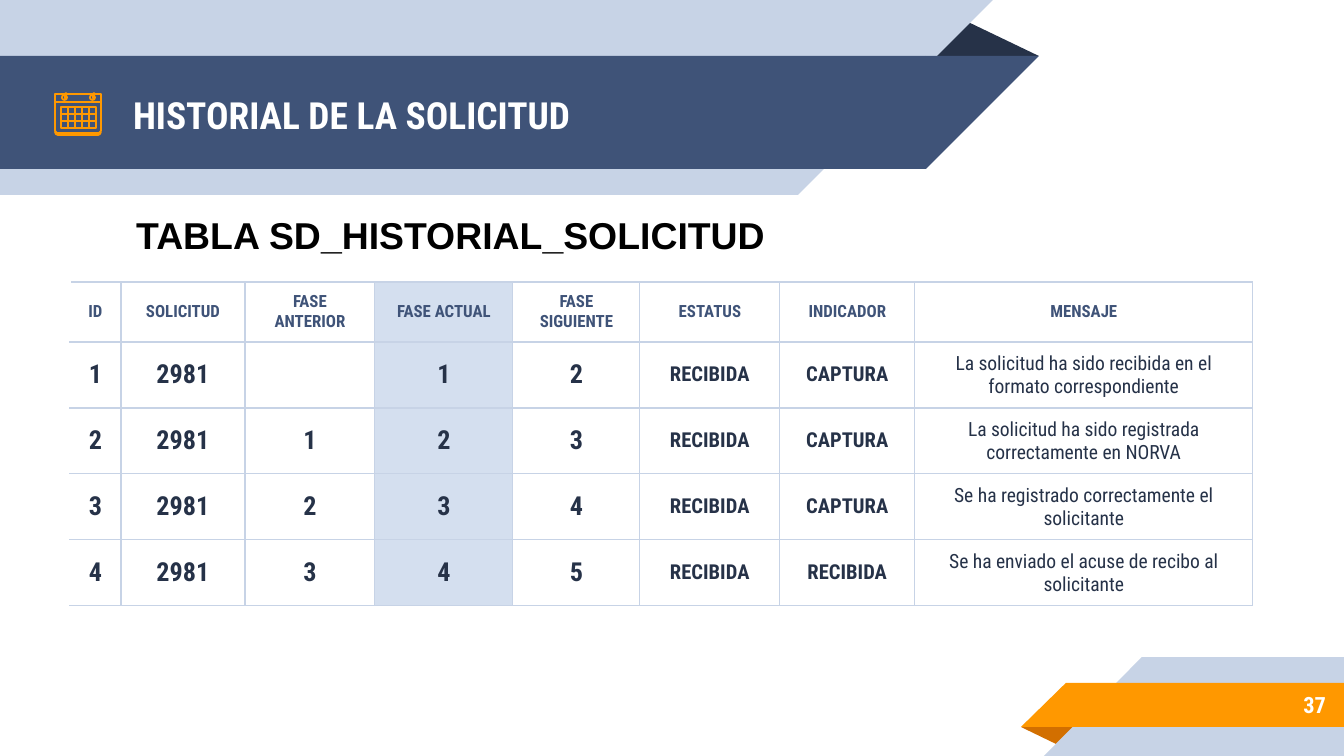
from lxml.etree import SubElement
from pptx import Presentation
from pptx.dml.color import RGBColor
from pptx.enum.shapes import MSO_CONNECTOR as Link, MSO_SHAPE as Kind
from pptx.enum.text import MSO_ANCHOR as Anchor, MSO_AUTO_SIZE as Auto, PP_ALIGN as Align
from pptx.oxml.ns import qn
from pptx.util import Emu, Pt

SCALE = 914400 / 134.4
WHITE = RGBColor(0xFF, 0xFF, 0xFF)
BLACK = RGBColor(0, 0, 0)
PALE = RGBColor(0xC7, 0xD3, 0xE6)
TINT = RGBColor(0xD4, 0xDF, 0xEF)
NAVY = RGBColor(0x3F, 0x53, 0x78)
DARK = RGBColor(0x26, 0x32, 0x48)
GOLD = RGBColor(0xFF, 0x98, 0x00)
RUST = RGBColor(0xD2, 0x6F, 0x00)
FACE = "Roboto Condensed"

HEADS = ["ID", "SOLICITUD", "FASE\nANTERIOR", "FASE ACTUAL",
         "FASE\nSIGUIENTE", "ESTATUS", "INDICADOR", "MENSAJE"]
ROWS = [
    ["1", "2981", "", "1", "2", "RECIBIDA", "CAPTURA",
     "La solicitud ha sido recibida en el formato correspondiente"],
    ["2", "2981", "1", "2", "3", "RECIBIDA", "CAPTURA",
     "La solicitud ha sido registrada correctamente en NORVA"],
    ["3", "2981", "2", "3", "4", "RECIBIDA", "CAPTURA",
     "Se ha registrado correctamente el solicitante"],
    ["4", "2981", "3", "4", "5", "RECIBIDA", "RECIBIDA",
     "Se ha enviado el acuse de recibo al solicitante"],
]
WIDTHS = [51, 124, 130, 138, 127, 140, 135, 338]
HEIGHTS = [60, 66, 66, 66, 66]
SIZES = [14] * 5 + [11] * 2 + [10.5]
NOW = 3


def px(num):
    return Emu(round(num * SCALE))


def apply(item, form):
    for key, value in form.items():
        setattr(item, key, value)


def write(frame, text, size, color, bold=True, face=FACE, align=Align.LEFT):
    frame.text = text
    for par in frame.paragraphs:
        par.alignment = align
        apply(par.font, {"size": Pt(size), "bold": bold, "name": face})
        par.font.color.rgb = color


def inset(item, side, top):
    apply(item, {"margin_left": px(side), "margin_right": px(side),
                 "margin_top": px(top), "margin_bottom": px(top)})


def block(shapes, kind, spot, color, flip=None):
    shape = shapes.add_shape(kind, *map(px, spot))
    shape.shadow.inherit = False
    shape.fill.solid()
    shape.fill.fore_color.rgb = color
    shape.line.fill.background()
    if flip:
        shape.element.spPr.get_or_add_xfrm().set(flip, "1")
    return shape


def fold(shapes, spot, color, turn=0):
    shape = block(shapes, Kind.ISOSCELES_TRIANGLE, spot, color)
    shape.adjustments[0] = 0.324
    shape.rotation = turn


def band(shapes, left, top, width, height, tip, color, head):
    block(shapes, Kind.RECTANGLE, (left, top, width, height), color)
    start, flip = (left + width, "flipV") if head else (left - tip, "flipH")
    block(shapes, Kind.RIGHT_TRIANGLE, (start, top, tip, height), color, flip)


def label(shapes, spot, text, size, color, **form):
    box = shapes.add_textbox(*map(px, spot))
    box.text_frame.word_wrap = True
    write(box.text_frame, text, size, color, **form)
    return box.text_frame


def heading(slide, text):
    title = slide.shapes.title
    apply(title, dict(zip(("left", "top", "width", "height"), map(px, (120, 58, 773, 113)))))
    frame = title.text_frame
    apply(frame, {"word_wrap": True, "auto_size": Auto.NONE, "vertical_anchor": Anchor.MIDDLE})
    inset(frame, 13, 13)
    write(frame, text, 20, WHITE)
    slide.shapes.element.append(title.element)


def border(cell, first):
    props = cell._tc.get_or_add_tcPr()
    for spot, side in enumerate(("lnL", "lnR", "lnT", "lnB")):
        line = SubElement(props, qn(f"a:{side}"), w=str(Pt(0.75)))
        fill = SubElement(line, qn("a:solidFill"))
        color = WHITE if first and side == "lnL" else PALE
        SubElement(fill, qn("a:srgbClr"), val=str(color))
        props.remove(line)
        props.insert(spot, line)


def grid(shapes):
    spot = map(px, (70, 282, sum(WIDTHS), sum(HEIGHTS)))
    table = shapes.add_table(len(HEIGHTS), len(WIDTHS), *spot).table
    apply(table, {"first_row": False, "horz_banding": False})
    for col, width in zip(table.columns, WIDTHS):
        col.width = px(width)
    for row, height in zip(table.rows, HEIGHTS):
        row.height = px(height)
    for y, words in enumerate([HEADS] + ROWS):
        for x, text in enumerate(words):
            cell = table.cell(y, x)
            size, color = (SIZES[x], DARK) if y else (9, NAVY)
            bold = y == 0 or x < len(WIDTHS) - 1
            write(cell.text_frame, text, size, color, bold=bold, align=Align.CENTER)
            cell.vertical_anchor = Anchor.MIDDLE
            inset(cell, 13, 9)
            if x == NOW:
                cell.fill.solid()
                cell.fill.fore_color.rgb = TINT
            else:
                cell.fill.background()
            border(cell, x == 0)


def stroke(shape):
    shape.line.color.rgb = GOLD
    shape.line.width = Pt(0.96)


def outline(shapes, points, close=False):
    pen = shapes.build_freeform(*points[0], scale=SCALE)
    pen.add_line_segments(points[1:], close=close)
    shape = pen.convert_to_shape()
    shape.shadow.inherit = False
    shape.fill.background()
    stroke(shape)


def rule(shapes, *ends):
    line = shapes.add_connector(Link.STRAIGHT, *map(px, ends))
    stroke(line)
    SubElement(line.element.spPr, qn("a:effectLst"))


def icon(shapes):
    parts = shapes.add_group_shape().shapes
    outline(parts, [(101, 102), (101, 94), (55, 94), (55, 102)])
    for shift in (0, 28):
        ring = block(parts, Kind.OVAL, (62 + shift, 95, 5, 5), GOLD)
        ring.fill.background()
        stroke(ring)
        hook = [(66, 99), (65, 98), (65, 94), (66, 93), (67, 94)]
        outline(parts, [(x + shift, y) for x, y in hook])
    outline(parts, [(55, 132), (56, 134), (58, 135), (98, 135), (100, 134), (101, 132)])
    outline(parts, [(55, 102), (55, 131), (57, 133), (99, 133), (101, 131), (101, 102)], True)
    left, top, step = 61, 107, 7
    right, base = left + 5 * step, top + 3 * step
    outline(parts, [(left, top), (right, top), (right, base), (left, base)], True)
    for y in range(top + step, base, step):
        rule(parts, left, y, right, y)
    for x in range(left + step, right, step):
        rule(parts, x, top, x, base)


def main():
    deck = Presentation()
    apply(deck, {"slide_width": px(1344), "slide_height": px(756)})
    slide = deck.slides.add_slide(deck.slide_layouts[5])
    shapes = slide.shapes
    fold(shapes, (925, 19, 114, 37), DARK)
    band(shapes, 0, 0, 798, 195, 195, PALE, True)
    band(shapes, 0, 56, 926, 113, 113, NAVY, True)
    fold(shapes, (1021, 727, 58, 19), RUST, 180)
    band(shapes, 1142, 657, 202, 99, 98, PALE, False)
    band(shapes, 1066, 683, 278, 44, 45, GOLD, False)
    heading(slide, "HISTORIAL DE LA SOLICITUD")
    grid(shapes)
    page = label(shapes, (1120, 681, 219, 47), "37", 12, WHITE, align=Align.RIGHT)
    page.vertical_anchor = Anchor.MIDDLE
    inset(page, 13, 13)
    name = label(shapes, (112, 206, 699, 480), "TABLA SD_HISTORIAL_SOLICITUD", 20, BLACK, face="Arial")
    name.paragraphs[0]._p.get_or_add_pPr().set("marL", str(px(11)))
    icon(shapes)
    deck.save("out.pptx")


if __name__ == "__main__":
    main()
